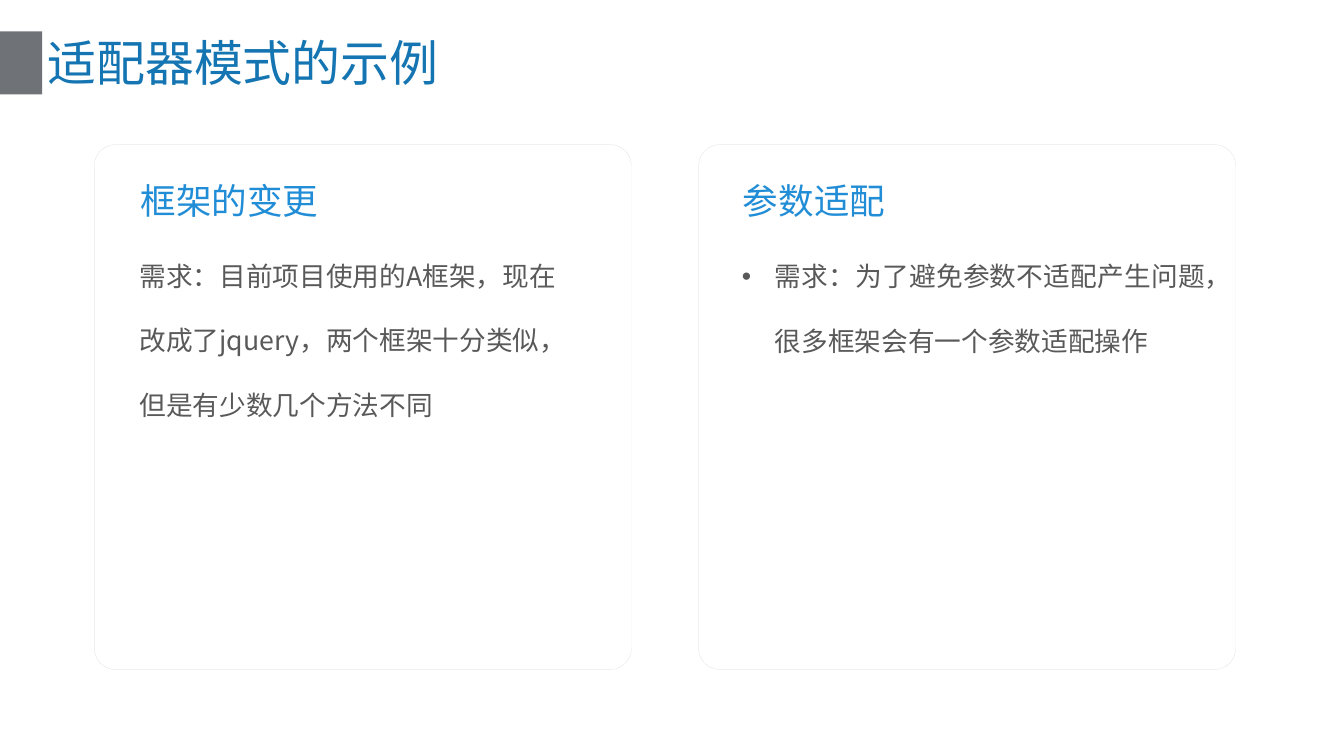
from dataclasses import dataclass

from lxml import etree
from pptx import Presentation
from pptx.dml.color import RGBColor
from pptx.enum.shapes import MSO_SHAPE
from pptx.enum.text import MSO_ANCHOR, MSO_AUTO_SIZE, PP_ALIGN
from pptx.oxml.ns import qn
from pptx.shapes.autoshape import Shape
from pptx.slide import Slide
from pptx.text.text import TextFrame, _Paragraph
from pptx.util import Inches, Pt

RECTANGLE, ROUNDED = MSO_SHAPE.RECTANGLE, MSO_SHAPE.ROUNDED_RECTANGLE
TOP, MIDDLE = MSO_ANCHOR.TOP, MSO_ANCHOR.MIDDLE
FIXED, GROW = MSO_AUTO_SIZE.NONE, MSO_AUTO_SIZE.SHAPE_TO_FIT_TEXT
LEFT, JUSTIFY = PP_ALIGN.LEFT, PP_ALIGN.JUSTIFY
SLIDE_WIDTH, SLIDE_HEIGHT = Inches(25.2), Inches(14.17)
TITLE_ONLY = 5


@dataclass(frozen=True)
class Theme:
    """Font, colours and type sizes of the slide."""

    font: str = "Noto Sans CJK SC"
    title_color: str = "1475B2"
    heading_color: str = "218DD6"
    body_color: str = "595959"
    marker_color: str = "6F7378"
    border_color: str = "D9D9D9"
    title_size: int = 66
    heading_size: int = 48
    body_size: int = 36


@dataclass(frozen=True)
class Box:
    """A rectangle in percent of the slide's width and height."""

    left: float
    top: float
    width: float
    height: float

    def lengths(self) -> tuple[int, int, int, int]:
        """Return left, top, width and height in EMU."""
        return (
            round(self.left * SLIDE_WIDTH / 100),
            round(self.top * SLIDE_HEIGHT / 100),
            round(self.width * SLIDE_WIDTH / 100),
            round(self.height * SLIDE_HEIGHT / 100),
        )


@dataclass(frozen=True)
class Card:
    """A card's texts with its text inset and text box sizes in percent."""

    heading: str
    body: str
    inset: float
    heading_width: float
    body_width: float
    body_height: float
    bulleted: bool = False


THEME = Theme()
MARKER_BOX = Box(0, 4.16, 3.13, 8.33)
TITLE_BOX = Box(3.13, 4.02, 93.73, 8.47)
FIRST_CARD_BOX = Box(7.02, 19.12, 39.96, 69.44)
CARD_PITCH = 44.96
HEADING_TOP, HEADING_HEIGHT = 23.08, 6.77
BODY_TOP = HEADING_TOP + HEADING_HEIGHT
CARDS = (
    Card("框架的变更", "需求：目前项目使用的A框架，现在改成了jquery，两个框架十分类似，但是有少数几个方法不同",
         3.17, 13.93, 33.29, 26.39),
    Card("参数适配", "需求：为了避免参数不适配产生问题，很多框架会有一个参数适配操作",
         3.02, 11.27, 34.88, 17.78, bulleted=True),
)


def add_run(paragraph: _Paragraph, text: str, size: int, color: str) -> None:
    """Add a run in the theme font for Latin and East Asian text."""
    run = paragraph.add_run()
    run.text = text
    run.font.name = THEME.font
    run.font.size = Pt(size)
    run.font.color.rgb = RGBColor.from_string(color)
    latin = run.font._element.find(qn("a:latin"))
    east_asian = etree.Element(qn("a:ea"), typeface=THEME.font)
    latin.addnext(east_asian)


def add_bullet(paragraph: _Paragraph, indent: float) -> None:
    """Give the paragraph a round bullet with a hanging indent in inches."""
    properties = paragraph._p.get_or_add_pPr()
    properties.set("marL", str(Inches(indent)))
    properties.set("indent", str(-Inches(indent)))
    etree.SubElement(properties, qn("a:buFont"), typeface="Arial")
    etree.SubElement(properties, qn("a:buChar"), char="•")


def add_panel(slide: Slide, kind: MSO_SHAPE, box: Box) -> Shape:
    """Add a shape without shadow, fill or line."""
    shape = slide.shapes.add_shape(kind, *box.lengths())
    shape.shadow.inherit = False
    shape.fill.background()
    shape.line.fill.background()
    return shape


def add_text_frame(slide: Slide, box: Box, margin: float, anchor: MSO_ANCHOR, wrap: bool) -> TextFrame:
    """Add a text box with equal margins in inches and return its frame."""
    frame = slide.shapes.add_textbox(*box.lengths()).text_frame
    frame.margin_left = frame.margin_right = Inches(margin)
    frame.margin_top = frame.margin_bottom = Inches(margin)
    frame.vertical_anchor = anchor
    frame.word_wrap = wrap
    frame.auto_size = GROW
    return frame


def add_title(slide: Slide, text: str) -> None:
    """Place and format the title with its marker at the slide's edge."""
    marker = add_panel(slide, RECTANGLE, MARKER_BOX)
    marker.fill.solid()
    marker.fill.fore_color.rgb = RGBColor.from_string(THEME.marker_color)
    title = slide.shapes.title
    title.left, title.top, title.width, title.height = TITLE_BOX.lengths()
    title.text_frame.vertical_anchor = MIDDLE
    title.text_frame.auto_size = FIXED
    paragraph = title.text_frame.paragraphs[0]
    paragraph.alignment = LEFT
    add_run(paragraph, text, THEME.title_size, THEME.title_color)


def add_card(slide: Slide, card: Card, column: int) -> None:
    """Draw one outlined card with its heading and body."""
    left = FIRST_CARD_BOX.left + column * CARD_PITCH
    panel = add_panel(slide, ROUNDED, Box(left, FIRST_CARD_BOX.top, FIRST_CARD_BOX.width, FIRST_CARD_BOX.height))
    panel.adjustments[0] = 0.04
    panel.line.color.rgb = RGBColor.from_string(THEME.border_color)
    panel.line.width = Pt(0.25)

    text_left = left + card.inset
    heading_box = Box(text_left, HEADING_TOP, card.heading_width, HEADING_HEIGHT)
    heading = add_text_frame(slide, heading_box, 0.07, MIDDLE, wrap=False)
    add_run(heading.paragraphs[0], card.heading, THEME.heading_size, THEME.heading_color)

    body_box = Box(text_left, BODY_TOP, card.body_width, card.body_height)
    paragraph = add_text_frame(slide, body_box, 0.05, TOP, wrap=True).paragraphs[0]
    paragraph.line_spacing = 2.0
    if card.bulleted:
        paragraph.alignment = JUSTIFY
        add_bullet(paragraph, 0.62)
    add_run(paragraph, card.body, THEME.body_size, THEME.body_color)


def main() -> None:
    """Build and save the slide."""
    presentation = Presentation()
    presentation.slide_width, presentation.slide_height = SLIDE_WIDTH, SLIDE_HEIGHT
    slide = presentation.slides.add_slide(presentation.slide_layouts[TITLE_ONLY])
    add_title(slide, "适配器模式的示例")
    for column, card in enumerate(CARDS):
        add_card(slide, card, column)
    presentation.save("out.pptx")


if __name__ == "__main__":
    main()
